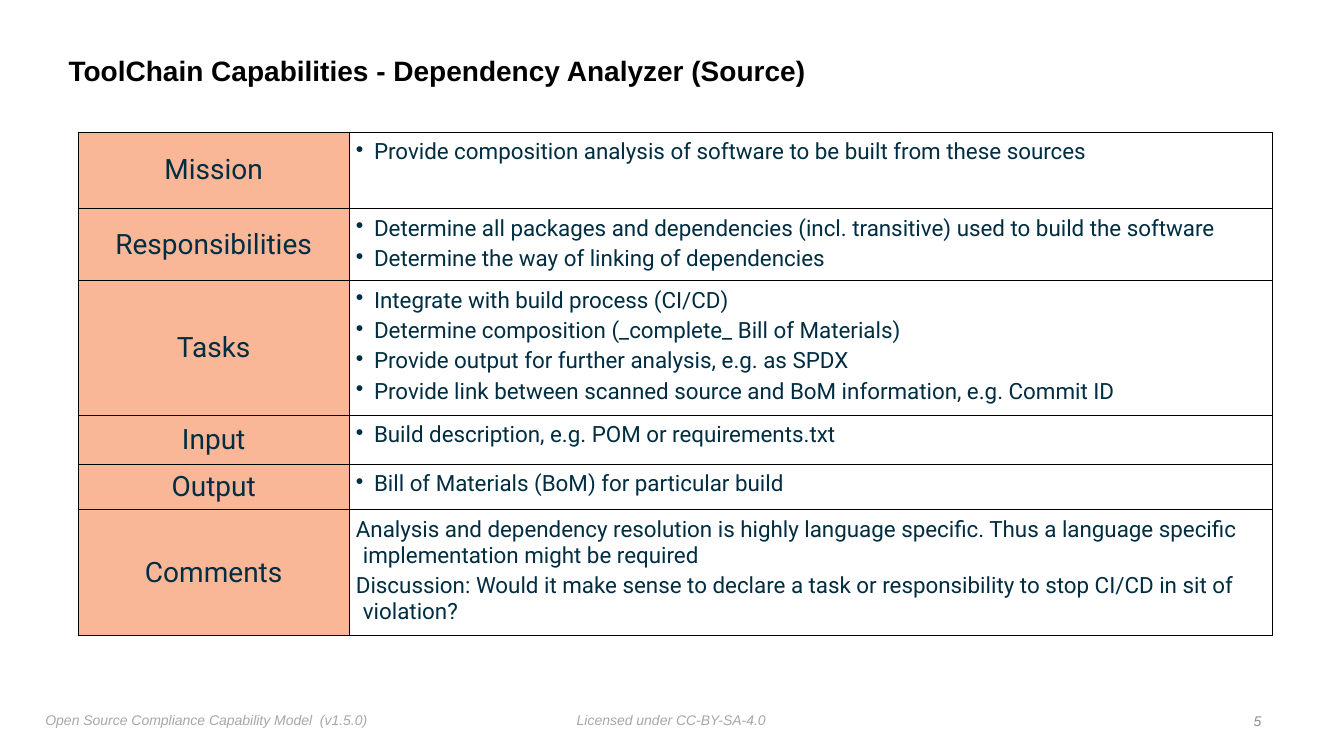
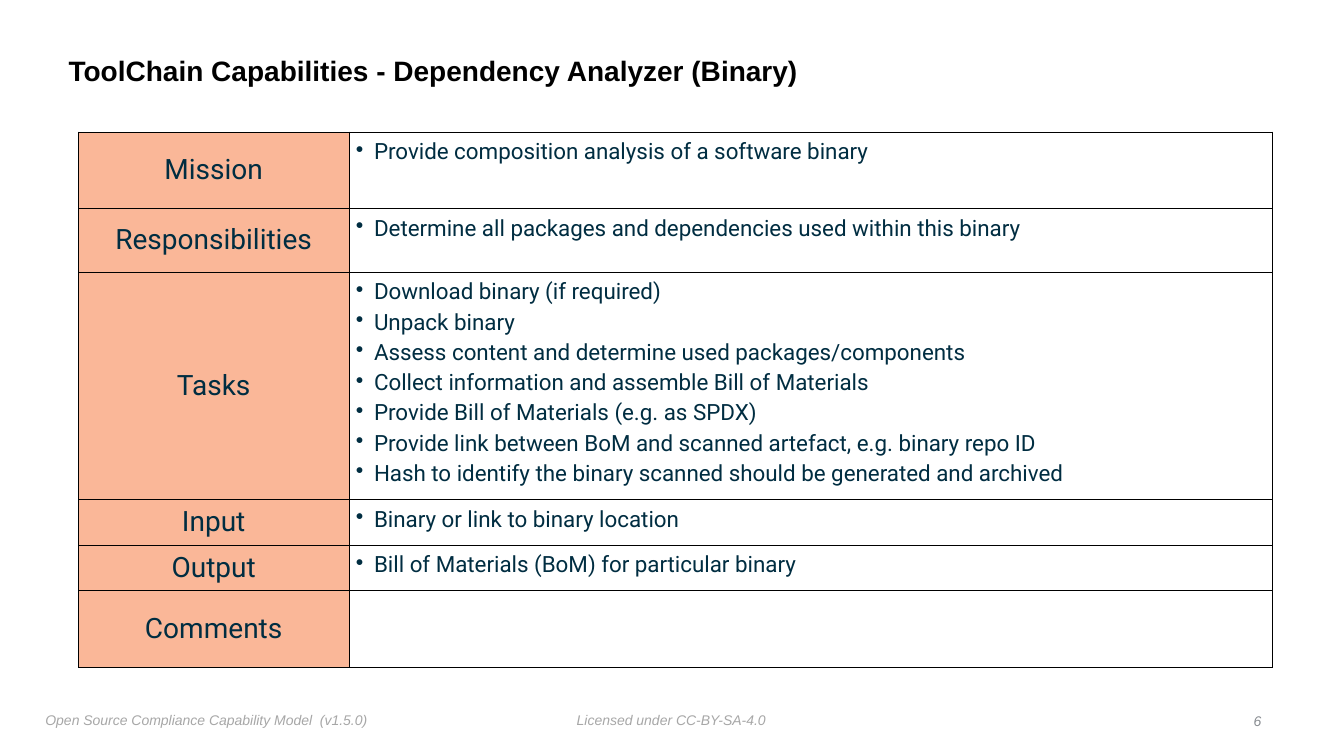
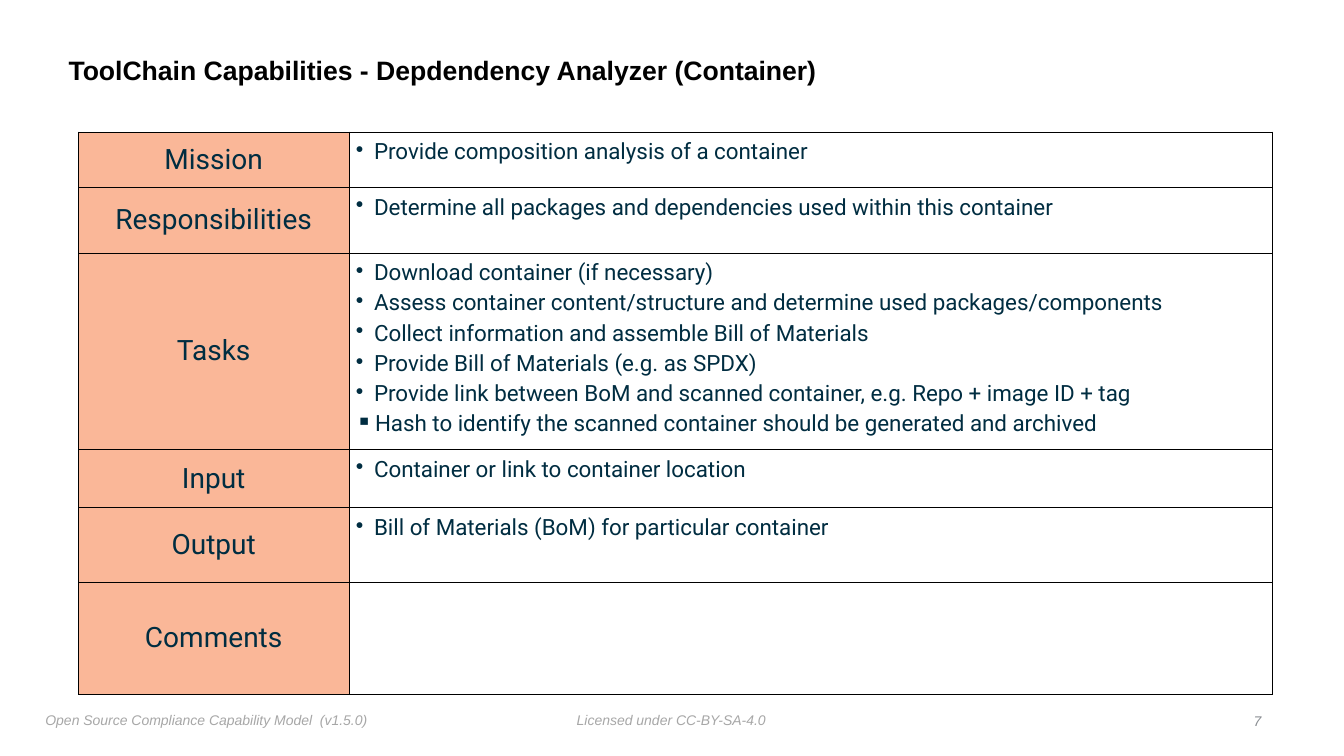
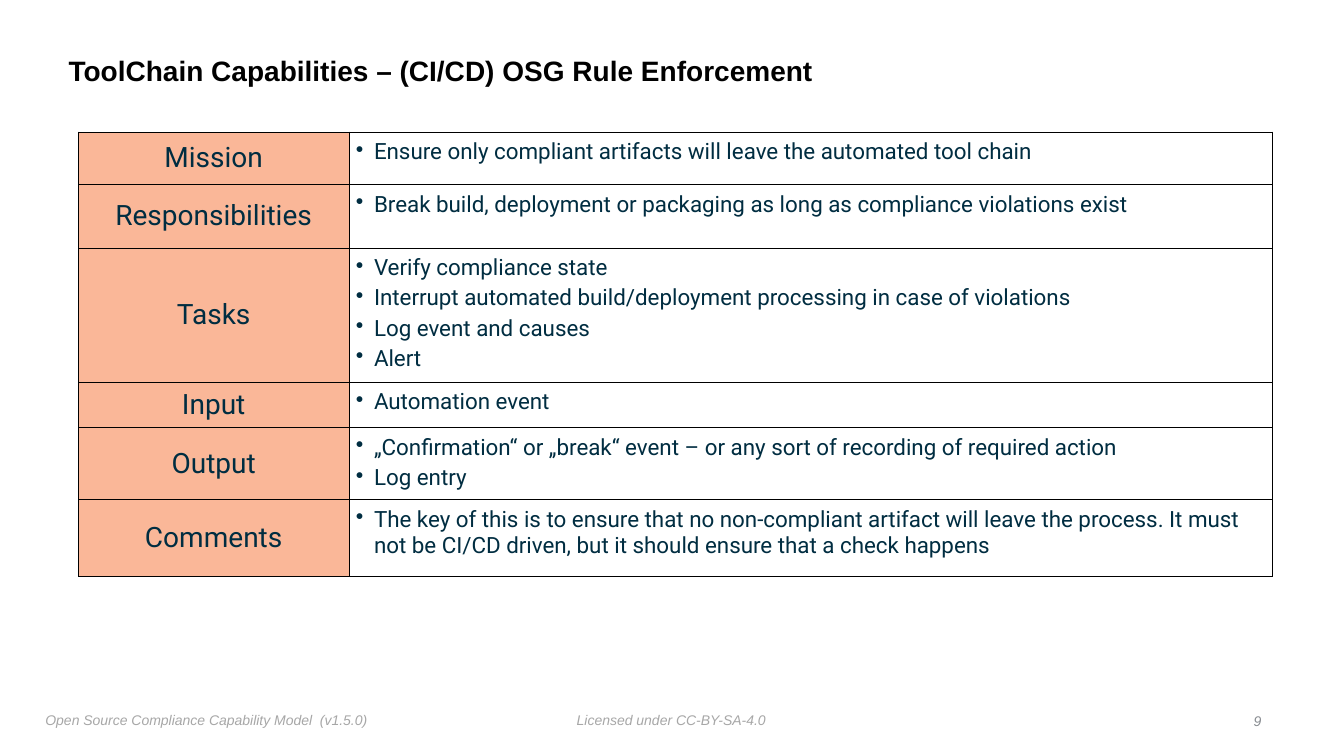
from dataclasses import dataclass
from lxml import etree
from pptx import Presentation
from pptx import util as u
from pptx.dml.color import RGBColor
from pptx.enum import text as t
from pptx.oxml import ns

ROWS = ["Mission", "Responsibilities", "Tasks", "Input", "Output", "Comments"]
DOT = ("•", 0.18)
BOX = ("▪", 0.19)
BARE = (None, 0.07)

PAGES = [
    {
        "page": "5",
        "title": "ToolChain Capabilities - Dependency Analyzer (Source)",
        "tall": [0.76, 0.69, 1.3, 0.49, 0.45, 1.21],
        "body": [
            ["Provide composition analysis of software to be built from these sources"],
            ["Determine all packages and dependencies (incl. transitive) used to build the software",
             "Determine the way of linking of dependencies"],
            ["Integrate with build process (CI/CD)",
             "Determine composition (_complete_ Bill of Materials)",
             "Provide output for further analysis, e.g. as SPDX",
             "Provide link between scanned source and BoM information, e.g. Commit ID"],
            ["Build description, e.g. POM or requirements.txt"],
            ["Bill of Materials (BoM) for particular build"],
            [("Analysis and dependency resolution is highly language specific. "
              "Thus a language specific implementation might be required", BARE),
             ("Discussion: Would it make sense to declare a task or responsibility "
              "to stop CI/CD in sit of violation?", BARE)],
        ],
    },
    {
        "page": "6",
        "title": "ToolChain Capabilities - Dependency Analyzer (Binary)",
        "tall": [0.76, 0.63, 2.19, 0.45, 0.45, 0.76],
        "body": [
            ["Provide composition analysis of a software binary"],
            ["Determine all packages and dependencies used within this binary"],
            ["Download binary (if required)",
             "Unpack binary",
             "Assess content and determine used packages/components",
             "Collect information and assemble Bill of Materials",
             "Provide Bill of Materials (e.g. as SPDX)",
             "Provide link between BoM and scanned artefact, e.g. binary repo ID",
             "Hash to identify the binary scanned should be generated and archived"],
            ["Binary or link to binary location"],
            ["Bill of Materials (BoM) for particular binary"],
            [],
        ],
    },
    {
        "page": "7",
        "title": "ToolChain Capabilities - Depdendency Analyzer (Container)",
        "size": 19,
        "tall": [0.55, 0.65, 1.9, 0.58, 0.74, 1.11],
        "body": [
            ["Provide composition analysis of a container"],
            ["Determine all packages and dependencies used within this container"],
            ["Download container (if necessary)",
             "Assess container content/structure and determine used packages/components",
             "Collect information and assemble Bill of Materials",
             "Provide Bill of Materials (e.g. as SPDX)",
             "Provide link between BoM and scanned container, e.g. Repo + image ID + tag",
             ("Hash to identify the scanned container should be generated and archived", BOX)],
            ["Container or link to container location"],
            ["Bill of Materials (BoM) for particular container"],
            [],
        ],
    },
    {
        "page": "9",
        "title": "ToolChain Capabilities – (CI/CD) OSG Rule Enforcement",
        "tall": [0.52, 0.63, 1.3, 0.45, 0.69, 0.76],
        "body": [
            ["Ensure only compliant artifacts will leave the automated tool chain"],
            ["Break build, deployment or packaging as long as compliance violations exist"],
            ["Verify compliance state",
             "Interrupt automated build/deployment processing in case of violations",
             "Log event and causes",
             "Alert"],
            ["Automation event"],
            ["„Confirmation“ or „break“ event – or any sort of recording of required action",
             "Log entry"],
            ["The key of this is to ensure that no non-compliant artifact will leave the process. "
             "It must not be CI/CD driven, but it should ensure that a check happens"],
        ],
    },
]

FOOT = [
    ("Licensed under CC-BY-SA-4.0", (5.67, 7.01, 1.99, 0.25)),
    ("Open Source Compliance Capability Model  (v1.5.0)", (0.4, 7.01, 3.32, 0.27)),
]


@dataclass(frozen=True)
class Theme:
    head: str = "Arial"
    body: str = "Roboto"
    black: str = "000000"
    ink: str = "002D41"
    peach: str = "FAB798"
    gray: str = "A7A7A7"
    slate: str = "888C91"
    large: int = 20
    mid: int = 16
    small: int = 10
    rule: float = 0.5


T = Theme()
MID = t.MSO_ANCHOR.MIDDLE


def mark(para, sign, dent):
    props = para._p.get_or_add_pPr()
    props.set("marL", str(u.Inches(dent)))
    props.set("indent", str(-u.Inches(dent)))
    if sign:
        etree.SubElement(props, ns.qn("a:buChar")).set("char", sign)
    else:
        etree.SubElement(props, ns.qn("a:buNone"))


def put(frame, text, *, size, color, font=T.head, bold=False, slant=False,
        align=None, lead=None, gap=0, list_mark=None):
    for n, item in enumerate([text] if isinstance(text, str) else text):
        line, style = (item, list_mark) if isinstance(item, str) else item
        para = frame.add_paragraph() if n else frame.paragraphs[0]
        if style:
            mark(para, *style)
        if n and gap:
            para.space_before = u.Pt(gap)
        if align:
            para.alignment = align
        if lead:
            para.line_spacing = lead
        run = para.add_run()
        run.text = line
        run.font.name = font
        run.font.size = u.Pt(size)
        run.font.bold = bold
        run.font.italic = slant
        run.font.color.rgb = RGBColor.from_string(color)


def inset(part, pad):
    for side in ("left", "top", "right", "bottom"):
        setattr(part, "margin_" + side, u.Inches(pad))


def label(slide, text, spot, *, wrap=False, anchor=t.MSO_ANCHOR.TOP, **look):
    frame = slide.shapes.add_textbox(*map(u.Inches, spot)).text_frame
    inset(frame, 0.05)
    frame.word_wrap = wrap
    frame.auto_size = t.MSO_AUTO_SIZE.NONE if wrap else t.MSO_AUTO_SIZE.SHAPE_TO_FIT_TEXT
    frame.vertical_anchor = anchor
    put(frame, text, **look)


def edge(cell):
    props = cell._tc.get_or_add_tcPr()
    for side in "LRTB":
        line = etree.SubElement(props, ns.qn("a:ln" + side), w=str(u.Pt(T.rule)))
        fill = etree.SubElement(line, ns.qn("a:solidFill"))
        etree.SubElement(fill, ns.qn("a:srgbClr"), val=T.black)


def grid(slide, body, tall):
    wide = (2.68, 9.16)
    spot = (0.78, 1.31, sum(wide), sum(tall))
    table = slide.shapes.add_table(len(ROWS), 2, *map(u.Inches, spot)).table
    table.first_row = table.horz_banding = False
    for col, size in zip(table.columns, wide):
        col.width = u.Inches(size)
    for row, high, name, lines in zip(table.rows, tall, ROWS, body):
        row.height = u.Inches(high)
        left, right = row.cells
        for cell, pad in ((left, 0), (right, 0.07)):
            edge(cell)
            inset(cell, pad)
        left.fill.solid()
        left.fill.fore_color.rgb = RGBColor.from_string(T.peach)
        right.fill.background()
        left.vertical_anchor = MID
        put(left.text_frame, name, size=T.large, color=T.ink, font=T.body,
            align=t.PP_ALIGN.CENTER)
        put(right.text_frame, lines, size=T.mid, color=T.ink, font=T.body,
            gap=3, list_mark=DOT)


def build(deck, page):
    slide = deck.slides.add_slide(deck.slide_layouts[6])
    for text, spot in FOOT:
        label(slide, text, spot, size=T.small, color=T.gray, slant=True)
    label(slide, page["title"], (0.63, 0.39, 10.75, 0.65), wrap=True, anchor=MID,
          size=page.get("size", T.large), color=T.black, bold=True, lead=0.9)
    grid(slide, page["body"], page["tall"])
    label(slide, page["page"], (12.37, 7.03, 0.19, 0.25), anchor=MID,
          size=T.small, color=T.slate, slant=True, align=t.PP_ALIGN.RIGHT)


def main():
    deck = Presentation()
    deck.slide_width = u.Inches(13.33)
    deck.slide_height = u.Inches(7.5)
    for page in PAGES:
        build(deck, page)
    deck.save("out.pptx")


if __name__ == "__main__":
    main()
